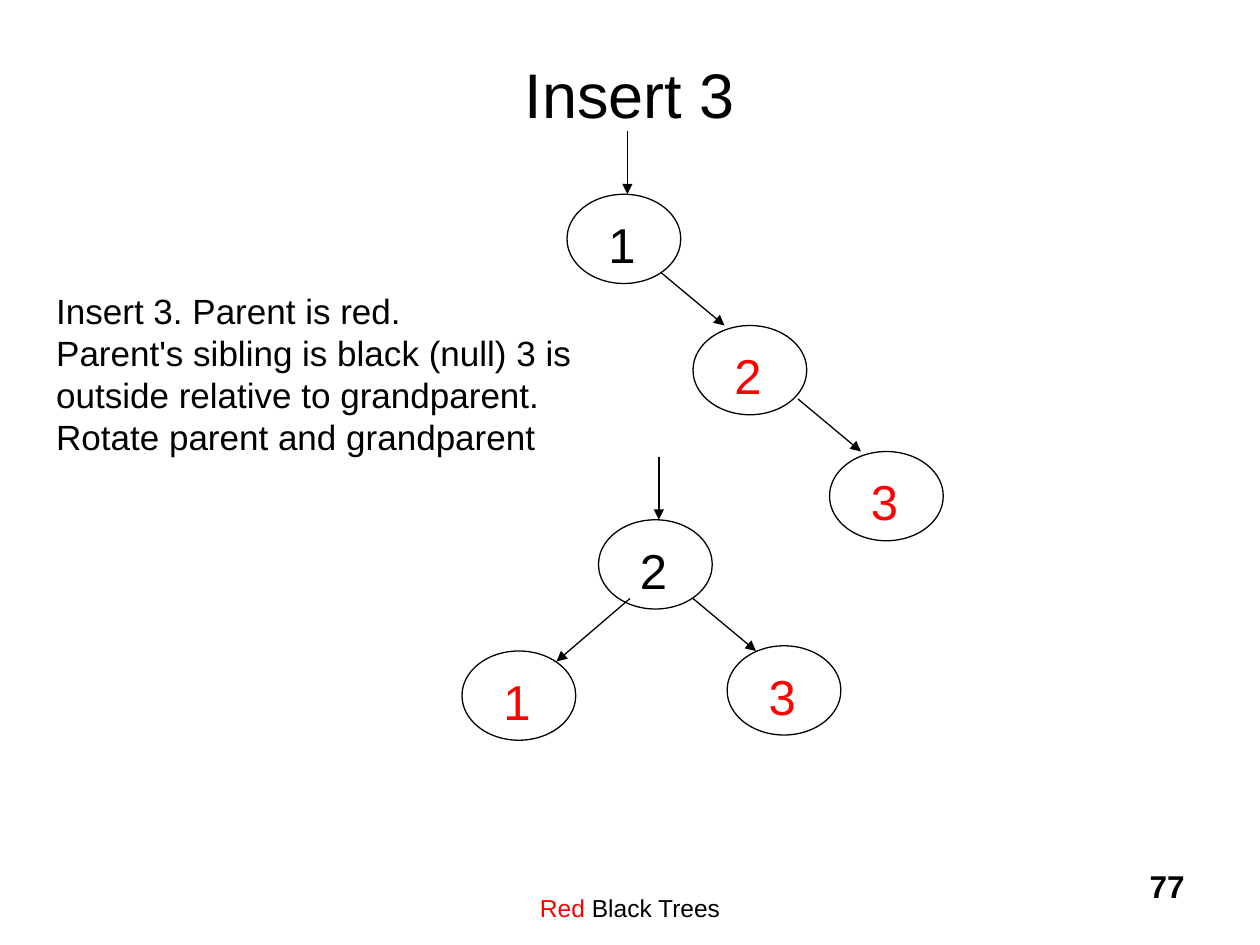
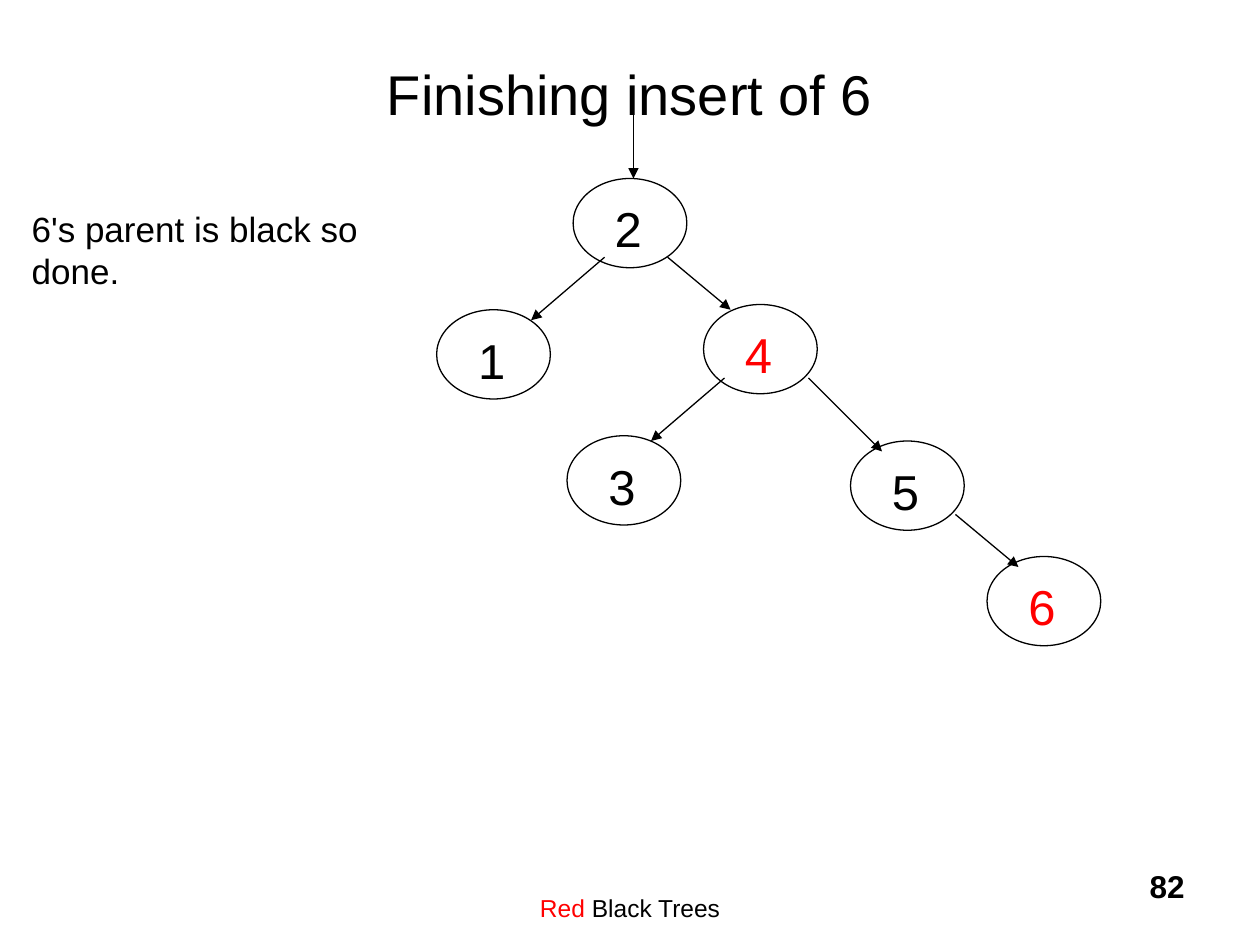
from lxml import etree
from pptx import Presentation
from pptx.dml.color import RGBColor
from pptx.enum.shapes import MSO_CONNECTOR, MSO_SHAPE
from pptx.enum.text import MSO_ANCHOR, MSO_AUTO_SIZE, PP_ALIGN
from pptx.oxml.ns import qn
from pptx.util import Pt

BLACK = RGBColor(0, 0, 0)
RED = RGBColor(255, 0, 0)
FONT = "Arial"

# Steps from the start of an arrow to its head
LEFT, RIGHT, STEEP = (-42, 36), (36, 30), (42, 42)

# Trees: nodes are (key, colour, left, top), the root first;
# arrows are (start x, start y, step)
SLIDES = [
    {
        "title": "Insert 3", "title_size": 36, "number": "77",
        "note": "Insert 3. Parent is red. \nParent's sibling is black (null) 3 is "
                "outside relative to grandparent. Rotate parent and grandparent",
        "note_box": (25, 160, 311, 104),
        "trees": [
            {"nodes": [("1", BLACK, 324, 111), ("2", RED, 396, 186), ("3", RED, 474, 258)],
             "arrows": [(378, 156, RIGHT), (456, 228, RIGHT)]},
            {"nodes": [("2", BLACK, 342, 297), ("1", RED, 264, 372), ("3", RED, 415.5, 369)],
             "arrows": [(396, 342, RIGHT), (360, 342, LEFT)]},
        ],
    },
    {
        "title": "Finishing insert of 6", "title_size": 32, "number": "82",
        "note": "6's parent is black so done.",
        "note_box": (11, 113, 243, 55),
        "trees": [
            {"nodes": [("2", BLACK, 327.5, 102), ("1", BLACK, 249.5, 177),
                       ("4", RED, 402, 174), ("3", BLACK, 324, 249),
                       ("5", BLACK, 486, 252), ("6", RED, 564, 318)],
             "arrows": [(381.5, 147, RIGHT), (345.5, 147, LEFT), (462, 216, STEEP),
                        (414, 216, LEFT), (546, 294, RIGHT)]},
        ],
    },
]
FOOTER = [("Red", RED), (" Black Trees", BLACK)]

NODE_W, NODE_H = 65, 51
ROOT_X, ROOT_LEN = 34.5, 36  # arrow into the root: offset and length


def style(p, size, color=BLACK, align=PP_ALIGN.LEFT, bold=False):
    p.alignment = align
    p.font.name, p.font.size, p.font.bold = FONT, Pt(size), bold
    p.font.color.rgb = color


def add_box(s, box, margin_top=3.6):
    tf = s.shapes.add_textbox(*map(Pt, box)).text_frame
    tf.word_wrap = True
    tf.margin_top = Pt(margin_top)
    return tf


def add_arrow(s, x, y, step):
    dx, dy = step
    line = s.shapes.add_connector(MSO_CONNECTOR.STRAIGHT,
                                  Pt(x), Pt(y), Pt(x + dx), Pt(y + dy))
    line.line.color.rgb = BLACK
    line.line.width = Pt(0.75)
    ln = line.line._get_or_add_ln()
    etree.SubElement(ln, qn("a:tailEnd"), type="triangle")
    etree.SubElement(line._element.spPr, qn("a:effectLst"))


def add_node(s, key, color, left, top):
    sp = s.shapes.add_shape(MSO_SHAPE.OVAL, Pt(left), Pt(top), Pt(NODE_W), Pt(NODE_H))
    sp.shadow.inherit = False
    sp.fill.background()
    sp.line.color.rgb = BLACK
    sp.line.width = Pt(0.75)
    tf = sp.text_frame
    tf.word_wrap = False
    tf.margin_left = tf.margin_bottom = 0
    tf.margin_right, tf.margin_top = Pt(2), Pt(6)
    p = tf.paragraphs[0]
    p.text = key
    style(p, 28, color, PP_ALIGN.CENTER)


def add_tree(s, tree):
    _, _, left, top = tree["nodes"][0]
    add_arrow(s, left + ROOT_X, top - ROOT_LEN, (0, ROOT_LEN))
    for node in tree["nodes"]:
        add_node(s, *node)
    for arrow in tree["arrows"]:
        add_arrow(s, *arrow)


def add_title(s, text, size):
    sp = s.shapes.title
    sp.left, sp.top, sp.width, sp.height = map(Pt, (54, 6, 612, 90))
    tf = sp.text_frame
    tf.auto_size = MSO_AUTO_SIZE.NONE
    tf.vertical_anchor = MSO_ANCHOR.MIDDLE
    tf.margin_top = Pt(8)
    p = tf.paragraphs[0]
    p.text = text
    style(p, size, align=PP_ALIGN.CENTER)


def add_footer(s, number):
    tf = add_box(s, (222, 492, 276, 36), margin_top=19.5)
    tf.margin_bottom = 0
    p = tf.paragraphs[0]
    style(p, 14, align=PP_ALIGN.CENTER)
    for text, color in FOOTER:
        r = p.add_run()
        r.text = text
        r.font.color.rgb = color
    p = add_box(s, (534, 492, 150, 36)).paragraphs[0]
    p.text = number
    style(p, 18, align=PP_ALIGN.RIGHT, bold=True)


def main():
    prs = Presentation()
    prs.slide_width, prs.slide_height = Pt(720), Pt(540)
    for content in SLIDES:
        s = prs.slides.add_slide(prs.slide_layouts[5])
        add_title(s, content["title"], content["title_size"])
        add_footer(s, content["number"])
        # Explanation beside the tree
        p = add_box(s, content["note_box"], margin_top=5.6).paragraphs[0]
        p.text = content["note"]
        style(p, 20)
        for tree in content["trees"]:
            add_tree(s, tree)
    prs.save("out.pptx")


if __name__ == "__main__":
    main()
